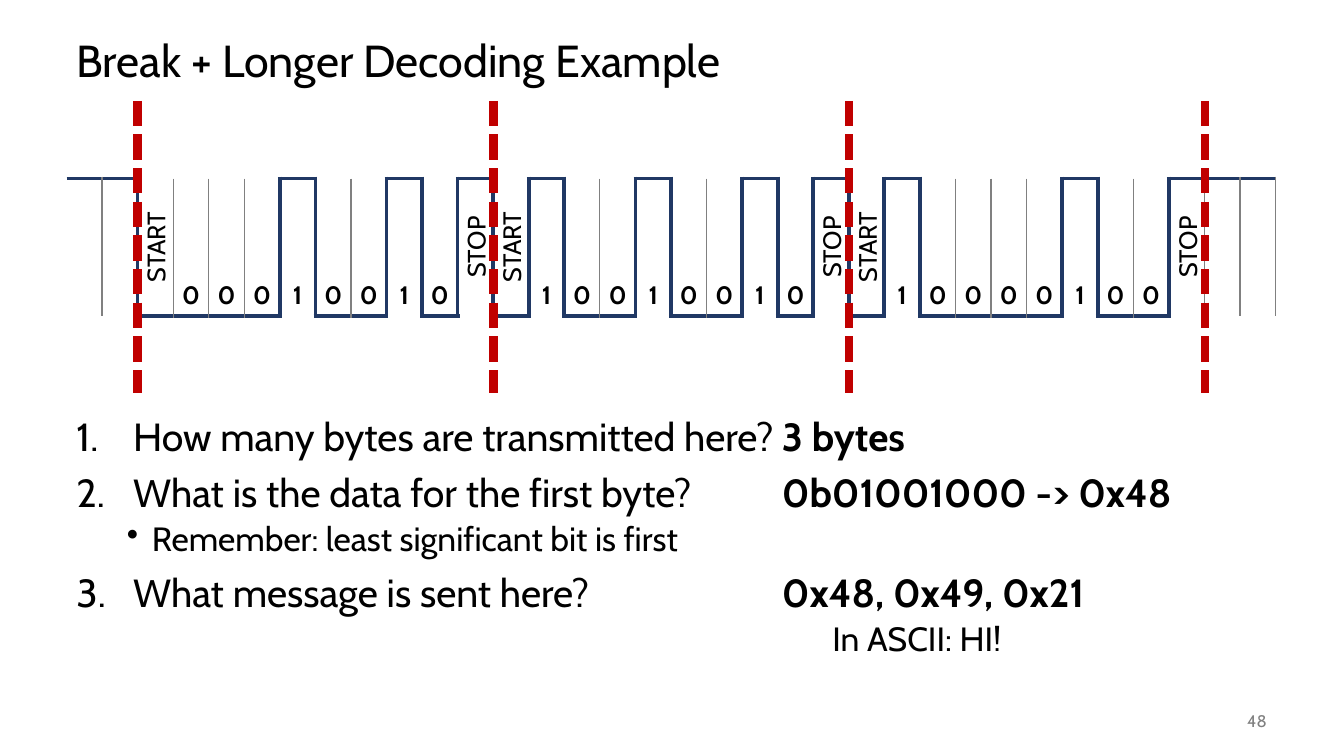
from lxml.etree import SubElement
from pptx import Presentation
from pptx.dml.color import RGBColor
from pptx.enum.dml import MSO_LINE
from pptx.enum.shapes import MSO_CONNECTOR
from pptx.enum.text import MSO_ANCHOR as Anchor, PP_ALIGN as Align
from pptx.oxml.ns import qn
from pptx.util import Pt

# Content
TITLE = "Break + Longer Decoding Example"
PAGE = "48"
FRAMES = ["00010010", "10010010", "10000100"]  # data bits in sending order
IDLE = 2  # idle columns on either side of the frames
QUESTION = {"size": 28, "before": 10, "left": 40.5, "hang": 40.5,
            "bullet": ("buAutoNum", {"type": "arabicPeriod"})}
HINT = {"size": 24, "before": 5, "left": 54, "hang": 18, "level": 1,
        "bullet": ("buChar", {"char": "•"})}
MESSAGE = {"size": 24, "before": 5, "left": 540, "hang": 0, "level": 1,
           "bullet": ("buNone", {})}
QUESTIONS = [
    (QUESTION, "How many bytes are transmitted here?", "3 bytes"),
    (QUESTION, "What is the data for the first byte?", "0b01001000 -> 0x48"),
    (HINT, "Remember: least significant bit is first", ""),
    (QUESTION, "What message is sent here?", "0x48, 0x49, 0x21"),
    (MESSAGE, "In ASCII: HI!", ""),
]

# Style and layout
FONT = "Cabin"
BLACK, GREY, NAVY, RED = "000000", "808080", "203864", "C00000"
LEFT, WIDTH = 47.5, 864
WAVE_TOP, WAVE_HEIGHT = 127.5, 98
BREAK_TOP, BREAK_BOTTOM = 72, 281
LABEL_WIDTH, LABEL_HEIGHT, LABEL_MIDDLE = 70, 29, 176.5
ANSWER_TAB = 504

# Signal: each frame is a low start bit, the data and a high stop bit
signal = "1" * IDLE + "".join("0" + data + "1" for data in FRAMES) + "1" * IDLE
digits = " " * IDLE + "".join(" " + data + " " for data in FRAMES) + " " * IDLE
column = WIDTH / len(signal)
frame_columns = len(FRAMES[0]) + 2
frame_starts = [IDLE + i * frame_columns for i in range(len(FRAMES) + 1)]

deck = Presentation()
deck.slide_width, deck.slide_height = Pt(960), Pt(540)
slide = deck.slides.add_slide(deck.slide_layouts[6])


def rgb(code):
    return RGBColor.from_string(code)


def column_x(index):
    return LEFT + index * column


def add_run(paragraph, text, size, color=BLACK, bold=False):
    run = paragraph.add_run()
    run.text = text
    run.font.name, run.font.size, run.font.bold = FONT, Pt(size), bold
    run.font.color.rgb = rgb(color)


def add_box(x, y, width, height, anchor=Anchor.TOP):
    box = slide.shapes.add_textbox(Pt(x), Pt(y), Pt(width), Pt(height))
    box.text_frame.word_wrap = True
    box.text_frame.vertical_anchor = anchor
    return box


def set_borders(cell, borders):
    """Give the left, right, top and bottom border as (color, width) or None."""
    properties = cell._tc.get_or_add_tcPr()
    for place, (tag, border) in enumerate(zip(("lnL", "lnR", "lnT", "lnB"), borders)):
        color, width = border or (None, 0)
        edge = SubElement(properties, qn("a:" + tag), w=str(Pt(width)))
        if color:
            fill = SubElement(edge, qn("a:solidFill"))
            SubElement(fill, qn("a:srgbClr"), val=color)
        else:
            SubElement(edge, qn("a:noFill"))
        properties.insert(place, edge)


# Title and page number
title = add_box(LEFT, 18, WIDTH, 54, Anchor.MIDDLE).text_frame.paragraphs[0]
title.line_spacing = 0.9
add_run(title, TITLE, 32)
page = add_box(840, 500.5, 72, 29, Anchor.MIDDLE).text_frame.paragraphs[0]
page.alignment = Align.RIGHT
add_run(page, PAGE, 12, GREY)

# Waveform: a table whose borders trace the signal
wave = slide.shapes.add_table(1, len(signal), Pt(LEFT), Pt(WAVE_TOP),
                              Pt(WIDTH), Pt(WAVE_HEIGHT)).table
wave.first_row = wave.horz_banding = False
wave.rows[0].height = Pt(WAVE_HEIGHT)
TRACE, GRID = (NAVY, 3), (GREY, 1)
walls = [None] + [GRID if a == b else TRACE for a, b in zip(signal, signal[1:])] + [GRID]
for i, (level, digit) in enumerate(zip(signal, digits)):
    wave.columns[i].width = Pt(column)
    cell = wave.cell(0, i)
    cell.margin_left = cell.margin_right = 0
    cell.vertical_anchor = Anchor.BOTTOM
    cell.fill.background()
    high = level == "1"
    set_borders(cell, (walls[i], walls[i + 1],
                       TRACE if high else None, None if high else TRACE))
    if digit != " ":
        bit = cell.text_frame.paragraphs[0]
        bit.alignment = Align.CENTER
        add_run(bit, digit, 18, bold=True)

# Dashed lines between frames
for start in frame_starts:
    x = Pt(column_x(start))
    divider = slide.shapes.add_connector(MSO_CONNECTOR.STRAIGHT, x, Pt(BREAK_TOP),
                                         x, Pt(BREAK_BOTTOM))
    divider.line.color.rgb = rgb(RED)
    divider.line.width = Pt(6)
    divider.line.dash_style = MSO_LINE.SQUARE_DOT
    SubElement(divider._element.spPr, qn("a:effectLst"))

# Upright start and stop labels
for word, offset in (("START", 0), ("STOP", frame_columns - 1)):
    for start in frame_starts[:-1]:
        middle = column_x(start + offset + 0.5)
        label = add_box(middle - LABEL_WIDTH / 2, LABEL_MIDDLE - LABEL_HEIGHT / 2,
                        LABEL_WIDTH, LABEL_HEIGHT)
        label.rotation = 270
        label_text = label.text_frame.paragraphs[0]
        label_text.alignment = Align.CENTER
        add_run(label_text, word, 18)

# Questions and answers
questions = add_box(LEFT, 294.5, WIDTH, 191.5).text_frame
for i, (style, question, answer) in enumerate(QUESTIONS):
    line = questions.add_paragraph() if i else questions.paragraphs[0]
    line.level = style.get("level", 0)
    properties = line._p.get_or_add_pPr()
    properties.set("marL", str(Pt(style["left"])))
    properties.set("indent", str(-Pt(style["hang"])))
    bullet, settings = style["bullet"]
    SubElement(properties, qn("a:" + bullet), **settings)
    if answer:
        tabs = SubElement(properties, qn("a:tabLst"))
        SubElement(tabs, qn("a:tab"), pos=str(Pt(ANSWER_TAB)), algn="l")
    line.line_spacing = 0.9
    line.space_before = Pt(style["before"] if i else 0)
    add_run(line, question + ("\t" if answer else ""), style["size"])
    if answer:
        add_run(line, answer, style["size"], bold=True)

deck.save("out.pptx")
